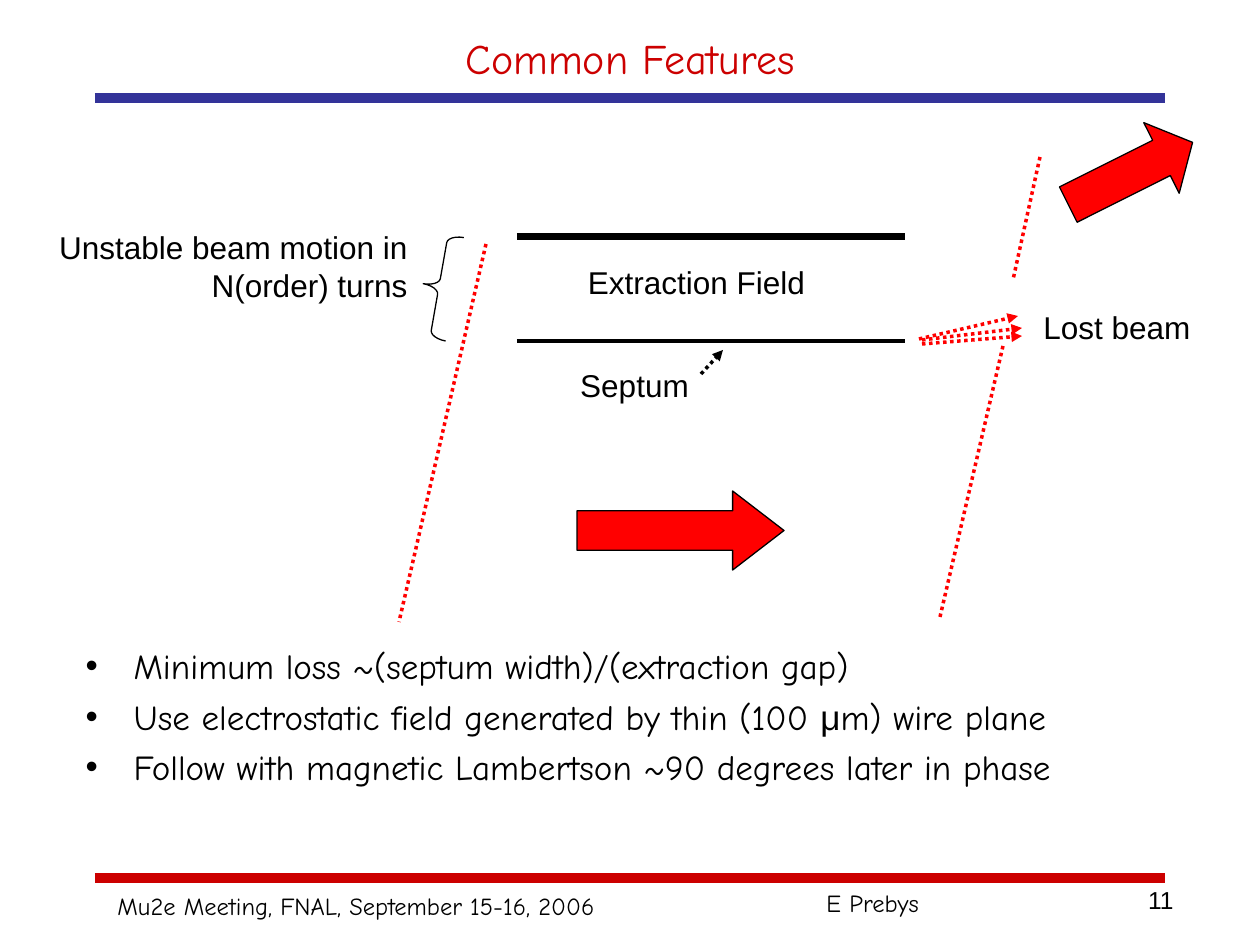
from pptx import Presentation
from pptx.dml.color import RGBColor
from pptx.enum.dml import MSO_LINE
from pptx.enum.shapes import MSO_CONNECTOR, MSO_SHAPE
from pptx.enum.text import MSO_ANCHOR, MSO_AUTO_SIZE, PP_ALIGN
from pptx.oxml.ns import qn
from pptx.util import Emu, Pt
from lxml import etree

DOTTED = MSO_LINE.ROUND_DOT
LEFT, CENTER, RIGHT = PP_ALIGN.LEFT, PP_ALIGN.CENTER, PP_ALIGN.RIGHT
STRAIGHT = MSO_CONNECTOR.STRAIGHT
RIGHT_ARROW, LEFT_BRACE = MSO_SHAPE.RIGHT_ARROW, MSO_SHAPE.LEFT_BRACE

COLORS = {"title": "CC0000", "rule": "333399", "beam": "FF0000", "ink": "000000"}
HAND, SANS = "Comic Neue", "Arial"
PX_PER_INCH = 126
HANGING = 48

TITLE = "Common Features"
# Each bullet is a list of (text, font) spans.
BULLETS = [
    [("Minimum loss ~(septum width)/(extraction gap)", HAND)],
    [("Use electrostatic field generated by thin (100 ", HAND), ("μ", SANS),
     ("m) wire plane", HAND)],
    [("Follow with magnetic Lambertson ~90 degrees later in phase", HAND)],
]
# text, (left, top, width, height), alignment
LABELS = [
    ("Extraction Field", (559, 257, 275, 50), CENTER),
    ("Septum", (544, 360, 181, 50), CENTER),
    ("Unstable beam motion in N(order) turns", (24, 222, 396, 88), RIGHT),
    ("Lost beam", (1031, 302, 173, 50), LEFT),
]
# text, (left, top, width, height), alignment, font
FOOTERS = [
    ("Mu2e Meeting, FNAL, September 15-16, 2006", (105, 885, 512, 43), LEFT, HAND),
    ("E Prebys", (814, 882, 349, 43), LEFT, HAND),
    ("11", (892, 879, 294, 66), RIGHT, SANS),
]
RULES = [(878, "title"), (98, "rule")]
PLATES = [(237, 4), (341, 0)]
BEAM_PATHS = [
    (486, 244, 399, 622),
    (1003, 346, 940, 617),
    (1040, 157, 1013, 280),
]
LOST_RAYS = [
    (919, 339, 1018, 316),
    (922, 340, 1022, 328),
    (922, 344, 1022, 336),
]
SEPTUM_POINTER = (701, 374, 723, 350)
# (left, top, width, height), adjustments, rotation
BEAM_ARROWS = [
    ((577, 491, 207, 79), (0.5, 0.65), 0),
    ((1061, 134, 139, 79), (0.5, 0.44), 333.4),
]
BRACE = (423, 234, 32, 105)


def px(value):
    return Emu(round(value * 914400 / PX_PER_INCH))


def rgb(name):
    return RGBColor.from_string(COLORS[name])


def place(shape, frame):
    shape.left, shape.top, shape.width, shape.height = map(px, frame)


def add_bullet(para):
    props = para._p.get_or_add_pPr()
    props.set("marL", str(px(HANGING)))
    props.set("indent", str(-px(HANGING)))
    etree.SubElement(props, qn("a:buFont")).set("typeface", SANS)
    etree.SubElement(props, qn("a:buChar")).set("char", "•")


def write(box, paragraphs, size, color="ink", align=LEFT, anchor=MSO_ANCHOR.TOP,
          bullets=False, space=0):
    """Fill a box with paragraphs, each a list of (text, font) spans."""
    frame = box.text_frame
    frame.word_wrap = True
    frame.auto_size = MSO_AUTO_SIZE.NONE
    frame.vertical_anchor = anchor
    for index, spans in enumerate(paragraphs):
        para = frame.add_paragraph() if index else frame.paragraphs[0]
        if bullets:
            add_bullet(para)
        para.alignment = align
        para.space_before = Pt(space if index else 0)
        for text, font in spans:
            span = para.add_run()
            span.text = text
            span.font.name = font
            span.font.size = Pt(size)
            span.font.color.rgb = rgb(color)


def add_text(page, text, frame, font, size, align):
    box = page.shapes.add_textbox(*map(px, frame))
    write(box, [[(text, font)]], size, align=align)


def add_line(page, ends, color, width=0, dash=None, arrow=False):
    line = page.shapes.add_connector(STRAIGHT, *map(px, ends))
    line.line.color.rgb = rgb(color)
    line.line.width = Pt(width)
    if dash:
        line.line.dash_style = dash
    if arrow:
        etree.SubElement(line.line._get_or_add_ln(), qn("a:tailEnd")).set("type", "triangle")
    etree.SubElement(line._element.spPr, qn("a:effectLst"))


def add_preset(page, kind, frame, adjustments, rotation, fill=None):
    shape = page.shapes.add_shape(kind, *map(px, frame))
    shape.shadow.inherit = False
    shape.rotation = rotation
    for index, value in enumerate(adjustments):
        shape.adjustments[index] = value
    if fill:
        shape.fill.solid()
        shape.fill.fore_color.rgb = rgb(fill)
    else:
        shape.fill.background()
    shape.line.color.rgb = rgb("ink")
    shape.line.width = Pt(0)


def main():
    deck = Presentation()
    deck.slide_width, deck.slide_height = px(1260), px(945)
    page = deck.slides.add_slide(deck.slide_layouts[1])
    title, body = page.placeholders

    for y, color in RULES:
        add_line(page, (95, y, 1165, y), color, width=6)
    for text, frame, align, font in FOOTERS:
        add_text(page, text, frame, font, 14, align)

    place(title, (95, 21, 1070, 73))
    write(title, [[(TITLE, HAND)]], 24, color="title", align=CENTER,
          anchor=MSO_ANCHOR.MIDDLE)
    place(body, (73, 638, 1110, 212))
    write(body, BULLETS, 20, bullets=True, space=5)

    for y, width in PLATES:
        add_line(page, (517, y, 905, y), "ink", width=width)
    for ends in BEAM_PATHS:
        add_line(page, ends, "beam", width=2, dash=DOTTED)
    for ends in LOST_RAYS:
        add_line(page, ends, "beam", dash=DOTTED, arrow=True)
    add_line(page, SEPTUM_POINTER, "ink", dash=DOTTED, arrow=True)

    for frame, adjustments, rotation in BEAM_ARROWS:
        add_preset(page, RIGHT_ARROW, frame, adjustments, rotation, fill="beam")
    add_preset(page, LEFT_BRACE, BRACE, (0.25, 0.5), 10)
    for text, frame, align in LABELS:
        add_text(page, text, frame, SANS, 18, align)

    deck.save("out.pptx")


if __name__ == "__main__":
    main()
